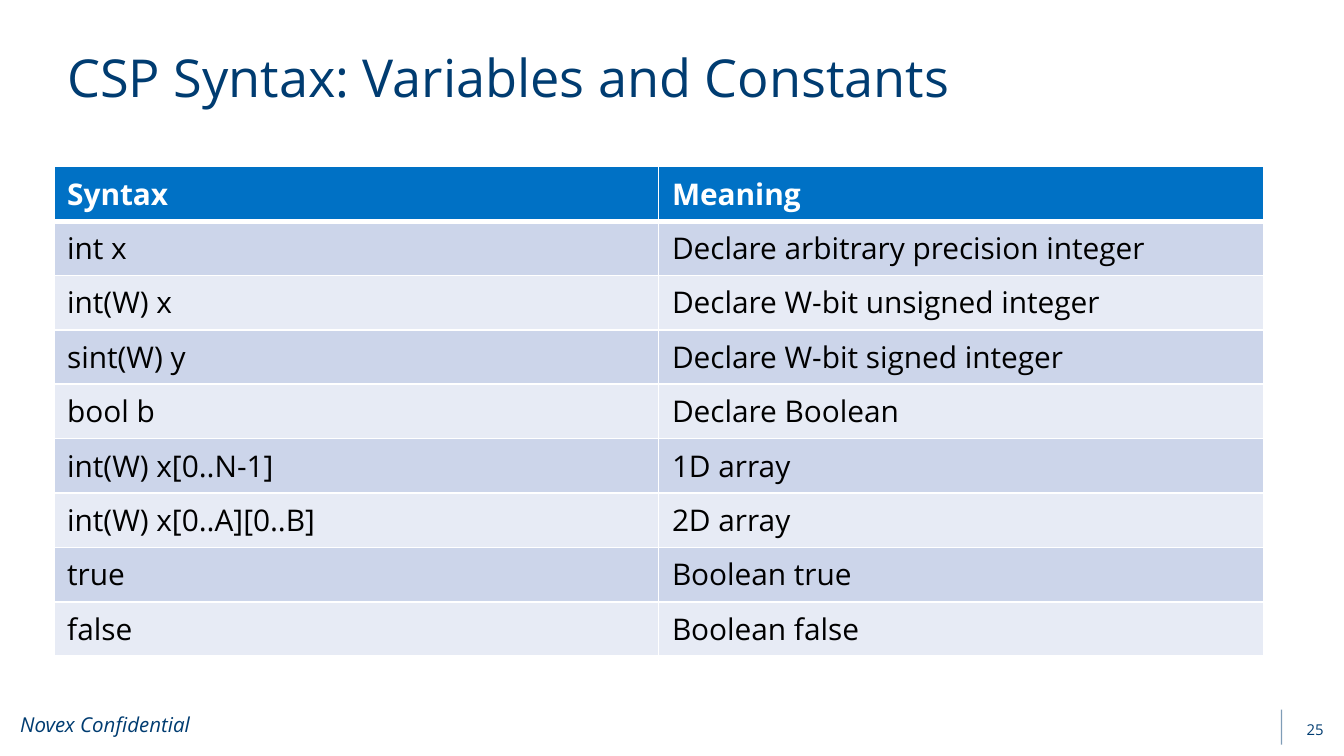
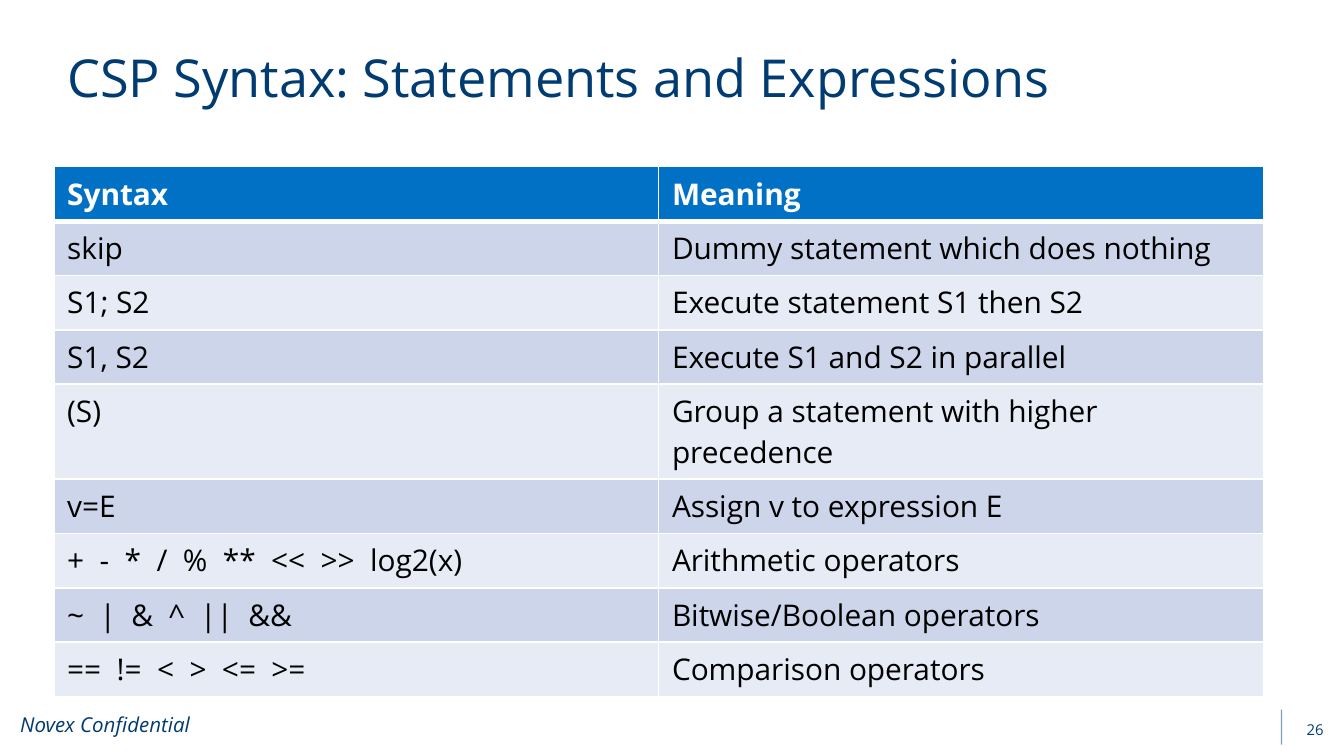
from dataclasses import dataclass

from lxml import etree
from pptx import Presentation
from pptx.dml.color import RGBColor
from pptx.enum.shapes import MSO_CONNECTOR
from pptx.enum.text import MSO_ANCHOR, PP_ALIGN
from pptx.oxml.ns import qn
from pptx.util import Inches, Pt

STRAIGHT = MSO_CONNECTOR.STRAIGHT
TOP, MIDDLE = MSO_ANCHOR.TOP, MSO_ANCHOR.MIDDLE
LEFT, RIGHT = PP_ALIGN.LEFT, PP_ALIGN.RIGHT


@dataclass(frozen=True)
class Theme:
    font: str = "Open Sans"
    navy: str = "003C71"
    header: str = "0071C5"
    bands: tuple = ("CCD5EA", "E7EBF5")
    white: str = "FFFFFF"
    black: str = "000000"
    title_size: int = 28
    table_size: int = 16
    footer_size: int = 11
    number_size: int = 8


THEME = Theme()

# Grid: 100 square columns across a 16:9 slide
WIDTH = Inches(10)
HEIGHT = WIDTH * 9 // 16
COLUMN = WIDTH / 100

FOOTER = "Novex Confidential"
FIRST_NUMBER = 25
HEADINGS = ("Syntax", "Meaning")
ONE_LINE, TWO_LINES = 4.05, 7.05  # row heights
LINE_CHARS = 36  # longest text that fits on one line of a cell

SLIDES = [
    ("CSP Syntax: Variables and Constants", [
        ("int x", "Declare arbitrary precision integer"),
        ("int(W) x", "Declare W-bit unsigned integer"),
        ("sint(W) y", "Declare W-bit signed integer"),
        ("bool b", "Declare Boolean"),
        ("int(W) x[0..N-1]", "1D array"),
        ("int(W) x[0..A][0..B]", "2D array"),
        ("true", "Boolean true"),
        ("false", "Boolean false"),
    ]),
    ("CSP Syntax: Statements and Expressions", [
        ("skip", "Dummy statement which does nothing"),
        ("S1; S2", "Execute statement S1 then S2"),
        ("S1, S2", "Execute S1 and S2 in parallel"),
        ("(S)", "Group a statement with higher precedence"),
        ("v=E", "Assign v to expression E"),
        ("+  -  *  /  %  **  <<  >>  log2(x)", "Arithmetic operators"),
        ("~  |  &  ^  ||  &&", "Bitwise/Boolean operators"),
        ("==  !=  <  >  <=  >=", "Comparison operators"),
    ]),
]


def grid(*units):
    return [round(u * COLUMN) for u in units]


def style_text(tf, size, color, bold=False, italic=False, align=LEFT):
    for p in tf.paragraphs:
        p.alignment = align
        for r in p.runs:
            font = r.font
            font.name, font.size = THEME.font, Pt(size)
            font.bold, font.italic = bold, italic
            font.color.rgb = RGBColor.from_string(color)


def add_text(slide, box, text, size, anchor=TOP, **style):
    tf = slide.shapes.add_textbox(*grid(*box)).text_frame
    tf.margin_left = tf.margin_right = tf.margin_top = tf.margin_bottom = 0
    tf.vertical_anchor = anchor
    tf.word_wrap = True
    tf.text = text
    style_text(tf, size, THEME.navy, **style)


def add_footer(slide, number):
    # Translucent rule beside the slide number
    rule = slide.shapes.add_connector(STRAIGHT, *grid(95.35, 52.8, 95.35, 55.4))
    rule.line.width = Pt(0.75)
    rule.line.color.rgb = RGBColor.from_string(THEME.navy)
    color = next(rule.line._ln.iter(qn("a:srgbClr")))
    etree.SubElement(color, qn("a:alpha"), val="50000")
    etree.SubElement(rule._element.spPr, qn("a:effectLst"))

    add_text(slide, (1.5, 53, 20, 1.9), FOOTER, THEME.footer_size, italic=True)
    add_text(slide, (75.2, 52.8, 23.3, 3), str(number), THEME.number_size,
             anchor=MIDDLE, align=RIGHT)


def set_borders(cell, top, bottom):
    tc_pr = cell._tc.get_or_add_tcPr()
    for side, width in (("L", 1), ("R", 1), ("T", top), ("B", bottom)):
        ln = etree.SubElement(tc_pr, qn(f"a:ln{side}"), w=str(Pt(width)))
        fill = etree.SubElement(ln, qn("a:solidFill"))
        etree.SubElement(fill, qn("a:srgbClr"), val=THEME.white)


def style_cell(cell, text, fill, color, bold=False, top=1, bottom=1):
    cell.text_frame.text = text
    style_text(cell.text_frame, THEME.table_size, color, bold)
    cell.margin_left, cell.margin_right = grid(1, 1)
    cell.margin_top, cell.margin_bottom = grid(0.5, 0.5)
    set_borders(cell, top, bottom)
    cell.fill.solid()
    cell.fill.fore_color.rgb = RGBColor.from_string(fill)


def row_height(row):
    return TWO_LINES if max(map(len, row)) > LINE_CHARS else ONE_LINE


def add_syntax_table(slide, body):
    rows = [HEADINGS, *body]
    height = sum(map(row_height, rows))
    table = slide.shapes.add_table(len(rows), len(HEADINGS),
                                   *grid(4, 12.4, 90, height)).table
    for i, row in enumerate(rows):
        table.rows[i].height = grid(row_height(row))[0]
        for cell, text in zip(table.rows[i].cells, row):
            if i == 0:
                style_cell(cell, text, THEME.header, THEME.white,
                           bold=True, bottom=3)
            else:
                # The first body row shares the thick edge of the header
                style_cell(cell, text, THEME.bands[(i - 1) % 2], THEME.black,
                           top=3 if i == 1 else 1)


def main():
    prs = Presentation()
    prs.slide_width, prs.slide_height = WIDTH, HEIGHT
    for number, (title, body) in enumerate(SLIDES, FIRST_NUMBER):
        slide = prs.slides.add_slide(prs.slide_layouts[6])
        add_footer(slide, number)
        add_text(slide, (5, 3.4, 90, 9.5), title, THEME.title_size)
        add_syntax_table(slide, body)
    prs.save("out.pptx")


if __name__ == "__main__":
    main()
